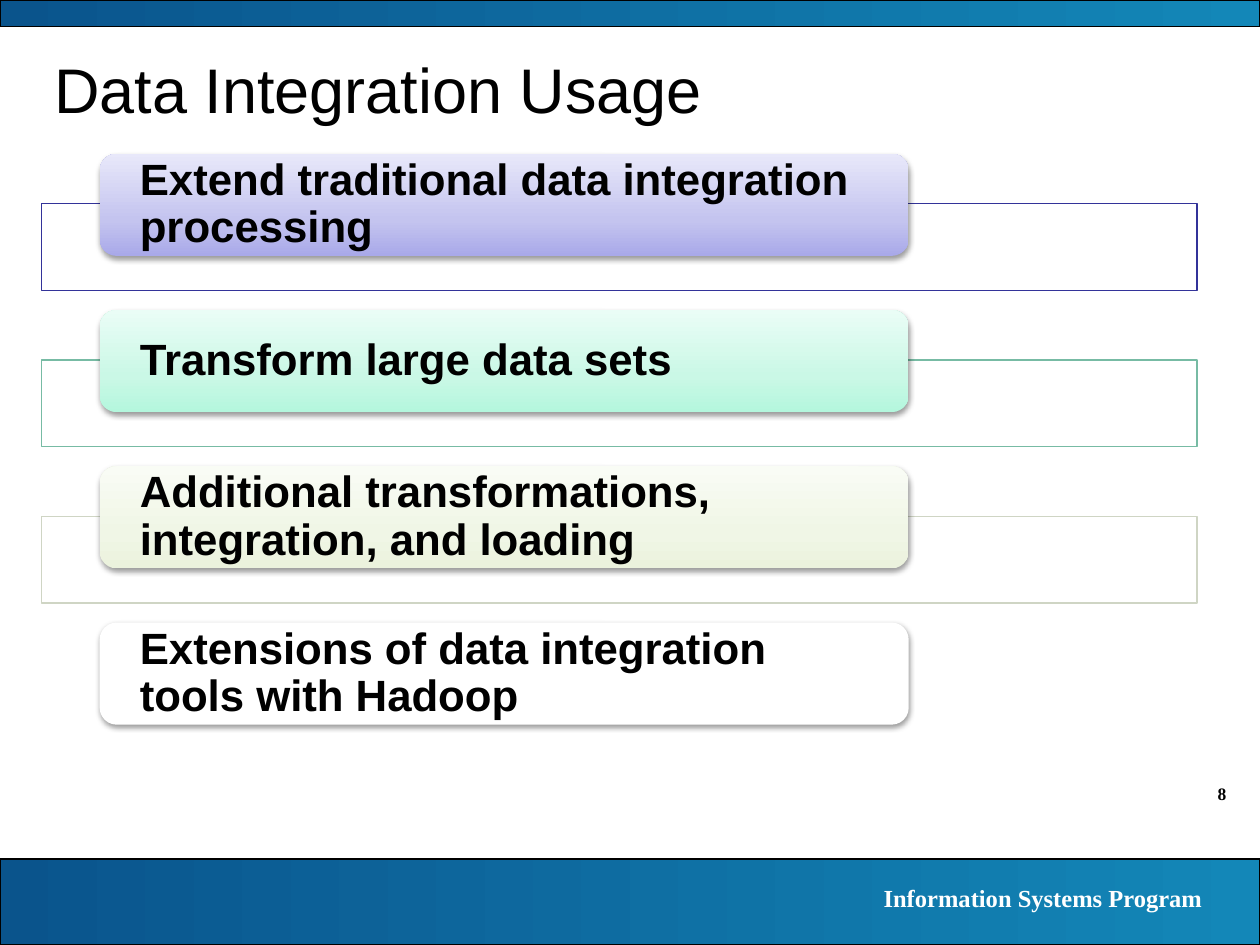
"""Build the Data Integration Usage slide."""
import lxml.etree
import pptx
import pptx.dml.color
import pptx.enum.shapes
import pptx.enum.text
import pptx.oxml.ns
import pptx.util

Cm = pptx.util.Cm
Pt = pptx.util.Pt
SHAPES = pptx.enum.shapes.MSO_SHAPE
ALIGN = pptx.enum.text.PP_ALIGN
ANCHOR = pptx.enum.text.MSO_ANCHOR
qn = pptx.oxml.ns.qn

COLORS = {"ink": "000000", "paper": "FFFFFF", "navy": "0A548C", "sky": "1387B8"}
TITLE = "Data Integration Usage"
USES = [
    ("Extend traditional data integration processing", "333399", ["A9A9E9", "C4C4EF", "E8E8FA"]),
    ("Transform large data sets", "77BBA4", ["B4F7DD", "CAF8E6", "EAFDF6"]),
    ("Additional transformations, integration, and loading", "CFD5C4", ["EBF2DD", "F0F6E6", "F9FCF5"]),
    ("Extensions of data integration tools with Hadoop", "FFFFFF", []),
]
BANDS = [(0, 0.53), (17.32, 1.73)]
CORNER_TEXTS = [
    ("8", (22.86, 15.67, 2.11, 0.69), 10, "ink"),
    ("Information Systems Program", (14.1, 17.68, 10.39, 0.86), 14, "paper"),
]
LEFT, WIDTH, PITCH = 0.84, 23.29, 3.15
LABEL_LEFT, LABEL_TOP, LABEL_WIDTH, LABEL_HEIGHT = 2.01, 3.1, 16.31, 2.06
FRAME_DROP, FRAME_HEIGHT = 1.01, 1.75


def rgb(value):
    return pptx.dml.color.RGBColor.from_string(value)


def add_color(parent, value, alpha=None):
    color = lxml.etree.SubElement(parent, qn("a:srgbClr"), val=value)
    if alpha is not None:
        lxml.etree.SubElement(color, qn("a:alpha"), val=str(alpha * 1000))


def add_box(page, kind, area, fill, line=None):
    box = page.shapes.add_shape(kind, *map(Cm, area))
    box.shadow.inherit = False
    box.fill.solid()
    box.fill.fore_color.rgb = rgb(fill)
    if line:
        box.line.color.rgb = rgb(line)
        box.line.width = Pt(0.75)
    else:
        box.line.fill.background()
    return box


def set_gradient(box, stops, angle):
    solid = box._element.spPr.find(qn("a:solidFill"))
    gradient = lxml.etree.Element(qn("a:gradFill"), rotWithShape="1")
    stop_list = lxml.etree.SubElement(gradient, qn("a:gsLst"))
    for position, value in stops:
        stop = lxml.etree.SubElement(stop_list, qn("a:gs"), pos=str(position * 1000))
        add_color(stop, value)
    lxml.etree.SubElement(gradient, qn("a:lin"), ang=str(angle * 60000), scaled="0")
    solid.getparent().replace(solid, gradient)


def set_alpha(box, alpha):
    solid = box._element.spPr.find(qn("a:solidFill"))
    solid.remove(solid[0])
    add_color(solid, COLORS["paper"], alpha)


def add_shadow(box):
    effects = box._element.spPr.find(qn("a:effectLst"))
    shadow = lxml.etree.SubElement(
        effects, qn("a:outerShdw"), blurRad=str(Pt(3.1)), dist=str(Pt(1.6)),
        dir=str(90 * 60000), rotWithShape="0")
    add_color(shadow, COLORS["ink"], 38)


def write(shape, text, size, font, color, align=ALIGN.LEFT, bold=False):
    shape.text_frame.word_wrap = True
    para = shape.text_frame.paragraphs[0]
    para.text = text
    para.alignment = align
    para.font.size = Pt(size)
    para.font.name = font
    para.font.bold = bold
    para.font.color.rgb = rgb(COLORS[color])
    return para


def add_use(page, index, text, line, fade):
    top = LABEL_TOP + index * PITCH
    frame = add_box(page, SHAPES.RECTANGLE, (LEFT, top + FRAME_DROP, WIDTH, FRAME_HEIGHT),
                    COLORS["paper"], line)
    set_alpha(frame, 90)
    label = add_box(page, SHAPES.ROUNDED_RECTANGLE, (LABEL_LEFT, top, LABEL_WIDTH, LABEL_HEIGHT),
                    COLORS["paper"])
    if fade:
        set_gradient(label, zip([0, 35, 100], fade), 270)
    add_shadow(label)
    words = label.text_frame
    words.margin_left = words.margin_right = Cm(0.71)
    words.margin_top = words.margin_bottom = 0
    words.vertical_anchor = ANCHOR.MIDDLE
    write(label, text, 25, "Arial", "ink", bold=True).line_spacing = 0.9


def main():
    deck = pptx.Presentation()
    deck.slide_width, deck.slide_height = Cm(25.4), Cm(19.05)
    page = deck.slides.add_slide(deck.slide_layouts[5])
    for top, height in BANDS:
        band = add_box(page, SHAPES.RECTANGLE, (0, top, 25.4, height), COLORS["navy"], COLORS["ink"])
        set_gradient(band, [(0, COLORS["navy"]), (100, COLORS["sky"])], 0)
    for text, area, size, color in CORNER_TEXTS:
        box = page.shapes.add_textbox(*map(Cm, area))
        write(box, text, size, "Times New Roman", color, ALIGN.RIGHT, True)
    title = page.shapes.title
    title.left, title.top, title.width, title.height = map(Cm, (LEFT, 0.84, WIDTH, 1.9))
    title.text_frame.vertical_anchor = ANCHOR.MIDDLE
    write(title, TITLE, 36, "Arial", "ink")
    for index, use in enumerate(USES):
        add_use(page, index, *use)
    deck.save("out.pptx")


if __name__ == "__main__":
    main()
